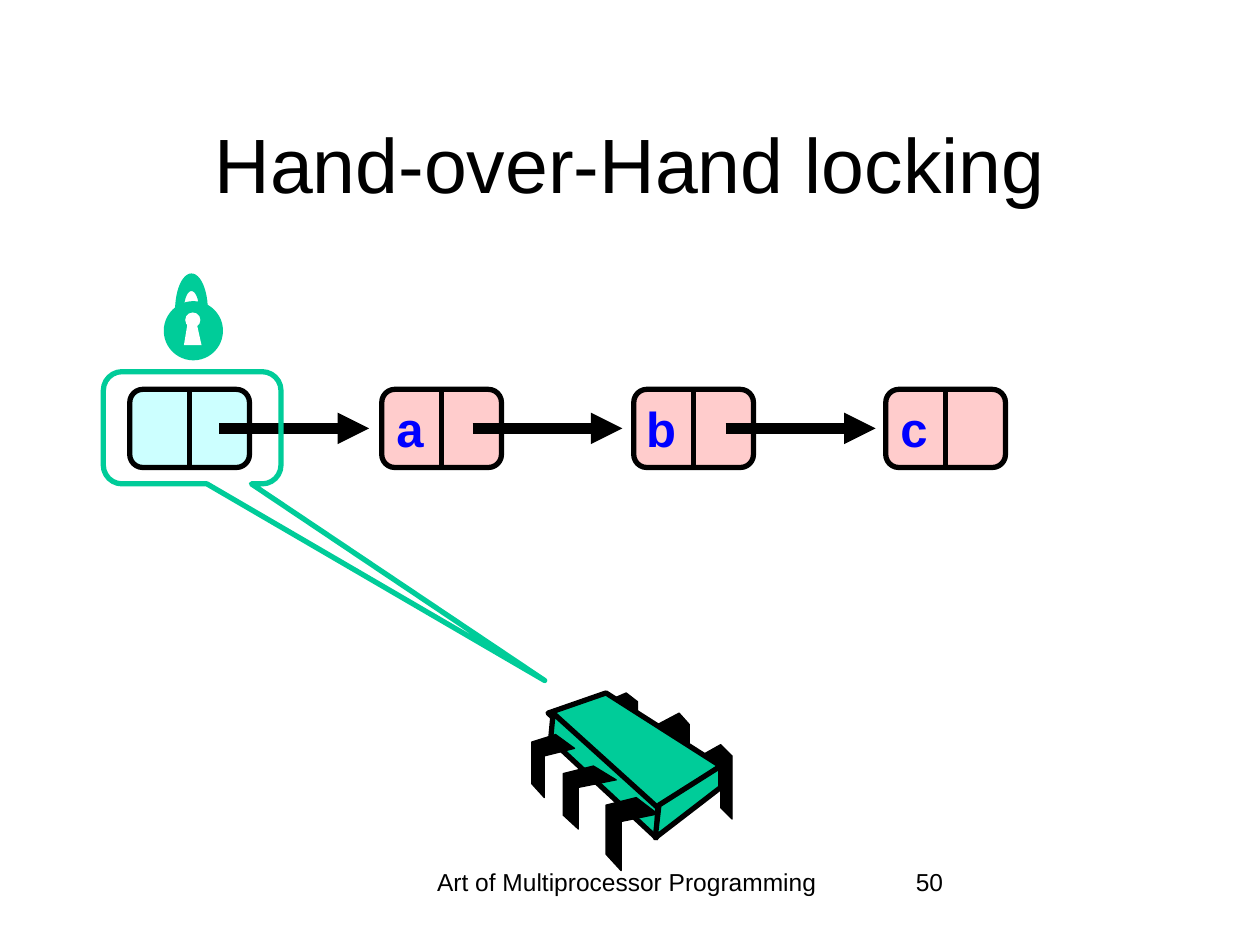
from math import cos, pi, sin

from lxml.etree import SubElement
from pptx import Presentation
from pptx.dml.color import RGBColor
from pptx.enum.shapes import MSO_CONNECTOR as Connector, MSO_SHAPE as Shape
from pptx.enum.text import MSO_ANCHOR as Anchor, MSO_AUTO_SIZE as AutoSize, PP_ALIGN as Align
from pptx.oxml.ns import qn
from pptx.util import Inches, Pt

COLORS = {
    "black": "000000",
    "white": "FFFFFF",
    "green": "00CC99",
    "head": "CCFFFF",
    "node": "FFCCCC",
    "label": "0000FF",
}
NODE_LABELS = ["", "a", "b", "c"]
NODE_LEFT, NODE_TOP, NODE_STEP = 1.03, 3.09, 2
ARROW_LEFT, ARROW_Y, ARROW_STEP, ARROW_LENGTH = 1.74, 3.4, 2.01, 1.19

BACK_LEGS = [
    [(5.56, 6), (5.72, 5.91), (5.81, 6), (5.81, 6.5), (5.72, 6.41), (5.72, 6.08), (5.56, 6.16)],
    [(5.22, 5.75), (5.39, 5.66), (5.47, 5.75), (5.47, 6.25), (5.39, 6.16), (5.39, 5.83), (5.22, 5.91)],
    [(4.81, 5.57), (4.97, 5.5), (5.06, 5.57), (5.06, 6), (4.97, 5.93), (4.97, 5.64), (4.81, 5.71)],
]
CHIP_FACES = [
    [(4.81, 5.5), (5.72, 6.08), (5.21, 6.43), (4.35, 5.66)],
    [(4.39, 5.66), (5.22, 6.41), (5.21, 6.65), (4.37, 5.87)],
    [(5.72, 6.08), (5.72, 6.25), (5.2, 6.65), (5.23, 6.39)],
]
FRONT_LEGS = [
    [(5.05, 6.33), (5.22, 6.46), (4.93, 6.52), (4.93, 6.91), (4.81, 6.78), (4.81, 6.39)],
    [(4.71, 6.08), (4.89, 6.19), (4.59, 6.25), (4.59, 6.58), (4.47, 6.47), (4.47, 6.14)],
    [(4.41, 5.83), (4.56, 5.94), (4.32, 6), (4.32, 6.33), (4.22, 6.22), (4.22, 5.89)],
]
KEYHOLE = [(1.46, 2.74), (1.49, 2.56), (1.56, 2.56), (1.6, 2.74)]


def color(name):
    """Return the named colour."""
    return RGBColor.from_string(COLORS[name])


def style_shape(shape, fill, line=None, width=0):
    """Set the fill and outline of a shape and drop its shadow."""
    shape.shadow.inherit = False
    if fill:
        shape.fill.solid()
        shape.fill.fore_color.rgb = color(fill)
    else:
        shape.fill.background()
    if line:
        shape.line.color.rgb = color(line)
        shape.line.width = Pt(width)
    else:
        shape.line.fill.background()


def add_preset(shapes, kind, place, fill, line=None, width=0):
    """Add a styled preset shape."""
    shape = shapes.add_shape(kind, *map(Inches, place))
    style_shape(shape, fill, line, width)
    return shape


def add_polygon(shapes, points, fill, line=None, width=0):
    """Add a closed outline through the points."""
    corners = [(Inches(x), Inches(y)) for x, y in points]
    builder = shapes.build_freeform(*corners[0])
    builder.add_line_segments(corners[1:], close=True)
    style_shape(builder.convert_to_shape(), fill, line, width)


def add_line(shapes, start, end, width, arrow=False):
    """Add a straight black line, with an arrowhead if asked."""
    line = shapes.add_connector(Connector.STRAIGHT, *map(Inches, start + end))
    line.line.color.rgb = color("black")
    line.line.width = Pt(width)
    if arrow:
        SubElement(line.line._get_or_add_ln(), qn("a:tailEnd"), type="triangle")
    SubElement(line._element.spPr, qn("a:effectLst"))
    return line


def write_text(box, text, size, align, ink="black", bold=False):
    """Write one formatted run into a box."""
    para = box.text_frame.paragraphs[0]
    para.alignment = align
    span = para.add_run()
    span.text = text
    span.font.name = "Arial"
    span.font.size = Pt(size)
    span.font.bold = bold
    span.font.color.rgb = color(ink)


def add_text(shapes, place, text, size, align, wrap=True, **style):
    """Add a text box holding one run."""
    box = shapes.add_textbox(*map(Inches, place))
    box.text_frame.word_wrap = wrap
    if not wrap:
        box.text_frame.auto_size = AutoSize.SHAPE_TO_FIT_TEXT
    write_text(box, text, size, align, **style)


def add_title(page, text):
    """Place and fill the title placeholder."""
    title = page.shapes.title
    title.left, title.top, title.width, title.height = map(Inches, (0.75, 0.67, 8.5, 1.25))
    title.text_frame.vertical_anchor = Anchor.MIDDLE
    write_text(title, text, 44, Align.CENTER)


def add_node(page, left, label):
    """Add a list node split into a value and a link cell."""
    shapes = page.shapes.add_group_shape().shapes
    fill = "node" if label else "head"
    node = add_preset(shapes, Shape.ROUNDED_RECTANGLE, (left, NODE_TOP, 0.95, 0.62), fill, "black", 3)
    middle = left + 0.48
    divider = add_line(shapes, (middle, NODE_TOP), (middle, NODE_TOP + 0.62), 3)
    divider.begin_connect(node, 0)
    divider.end_connect(node, 2)
    if label:
        add_text(shapes, (left, 3.11, 0.43, 0.57), label, 28, Align.RIGHT,
                 wrap=False, ink="label", bold=True)


def add_chip(page):
    """Add the processor chip with its legs."""
    shapes = page.shapes.add_group_shape().shapes
    layers = [(BACK_LEGS, "black", 0.75), (CHIP_FACES, "green", 3), (FRONT_LEGS, "black", 0.75)]
    for outlines, fill, width in layers:
        for points in outlines:
            add_polygon(shapes, points, fill, "black", width)


def arch(radius_x, radius_y, steps=24):
    """Return points along the upper half of an ellipse, left to right."""
    angles = [pi * (1 - step / steps) for step in range(steps + 1)]
    return [(1.52 + radius_x * cos(angle), 2.46 - radius_y * sin(angle)) for angle in angles]


def add_lock(page):
    """Add the padlock."""
    shapes = page.shapes.add_group_shape().shapes
    add_preset(shapes, Shape.OVAL, (1.3, 2.39, 0.47, 0.47), "green")
    add_preset(shapes, Shape.OVAL, (1.47, 2.48, 0.12, 0.12), "white")
    add_polygon(shapes, KEYHOLE, "white")
    add_polygon(shapes, arch(0.06, 0.15) + arch(0.13, 0.29)[::-1], "green")


def add_callout(page):
    """Add the callout that ties the chip to the locked node."""
    place = (0.82, 2.95, 1.41, 0.89)
    callout = add_preset(page.shapes, Shape.ROUNDED_RECTANGULAR_CALLOUT, place, None, "green", 3)
    for index, value in enumerate((1.985, 2.254, 0.167)):
        callout.adjustments[index] = value


def main():
    """Build and save the slide."""
    deck = Presentation()
    deck.slide_width, deck.slide_height = Inches(10), Inches(7.5)
    page = deck.slides.add_slide(deck.slide_layouts[5])
    add_text(page.shapes, (3.1, 6.83, 3.75, 0.5), "Art of Multiprocessor Programming", 14, Align.CENTER)
    add_text(page.shapes, (7.17, 6.83, 2.08, 0.5), "50", 14, Align.LEFT)
    add_title(page, "Hand-over-Hand locking")
    for index, label in enumerate(NODE_LABELS):
        add_node(page, NODE_LEFT + index * NODE_STEP, label)
    for index in range(len(NODE_LABELS) - 1):
        left = ARROW_LEFT + index * ARROW_STEP
        add_line(page.shapes, (left, ARROW_Y), (left + ARROW_LENGTH, ARROW_Y), 6, arrow=True)
    add_chip(page)
    add_callout(page)
    add_lock(page)
    deck.save("out.pptx")


if __name__ == "__main__":
    main()
